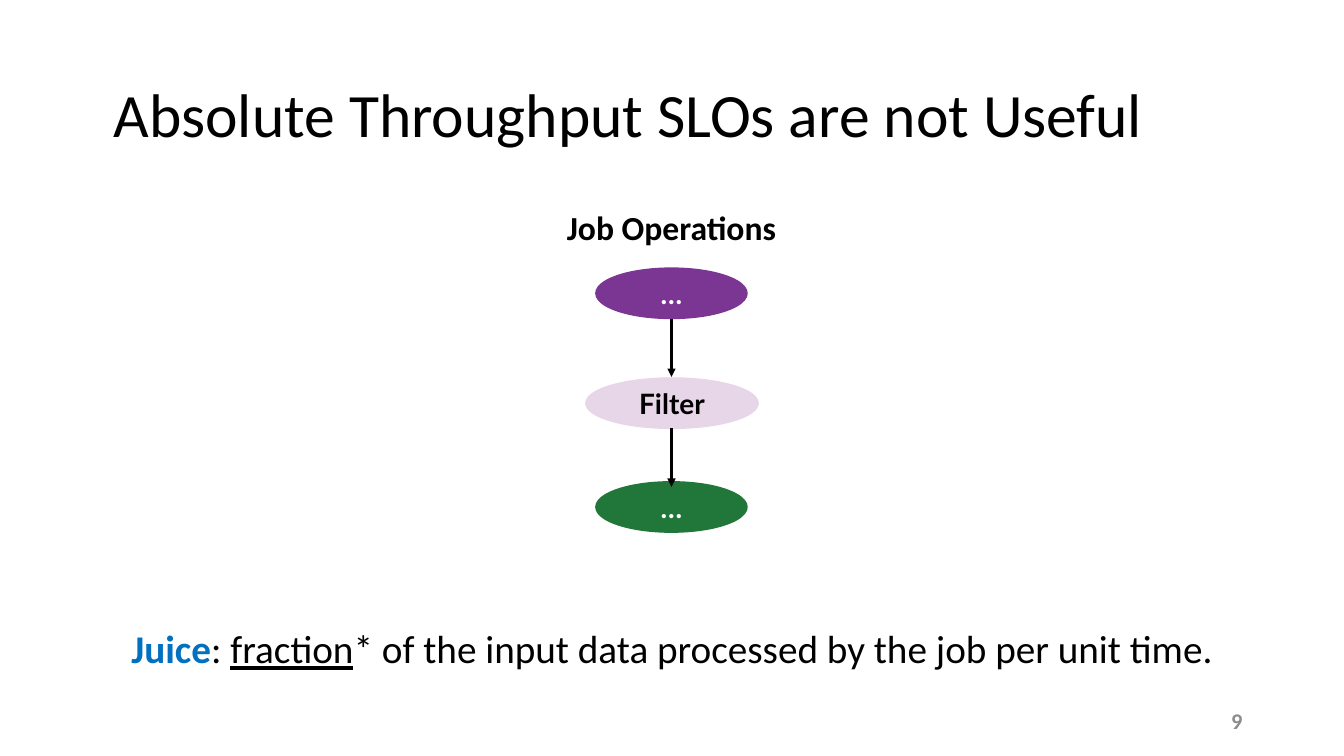
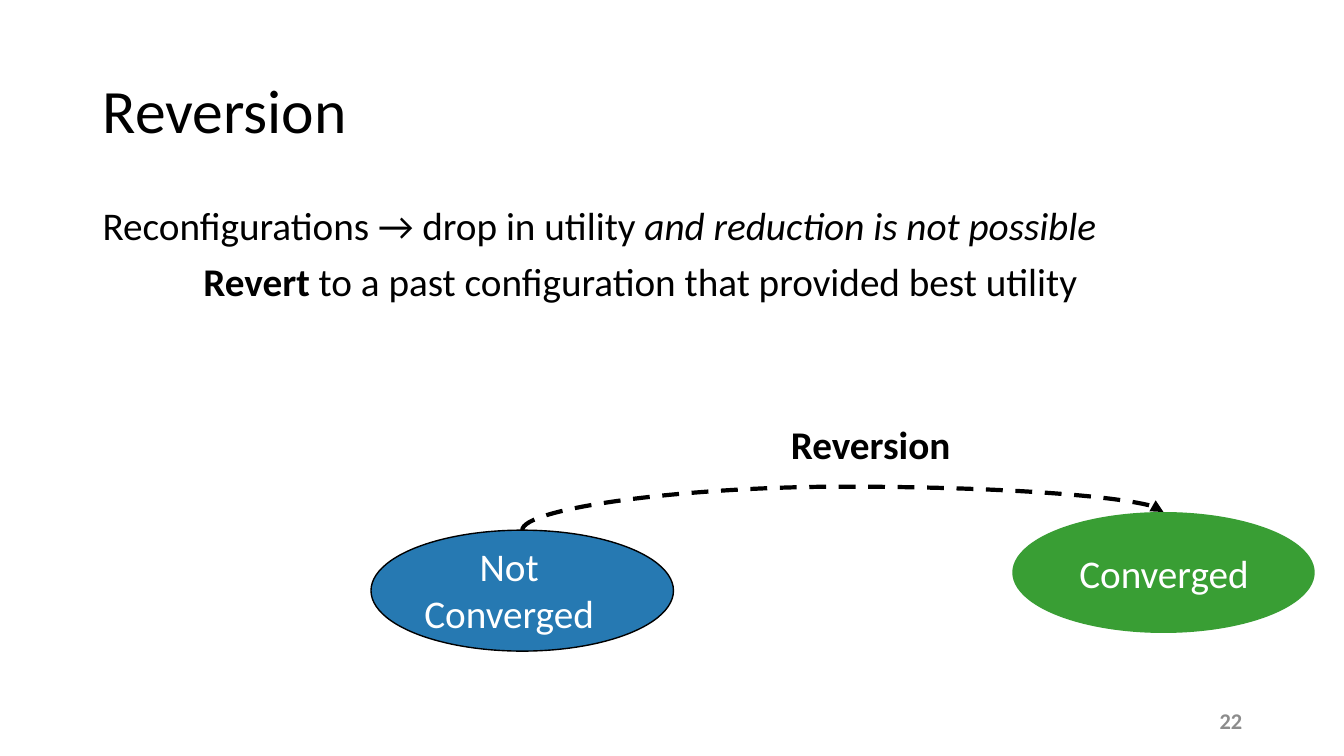
from dataclasses import dataclass

from lxml.etree import SubElement
from pptx import Presentation
from pptx.dml.color import RGBColor
from pptx.enum.dml import MSO_LINE
from pptx.enum.shapes import MSO_CONNECTOR as Connector, MSO_SHAPE as Shape
from pptx.enum.text import MSO_ANCHOR as Anchor, PP_ALIGN as Align
from pptx.oxml.ns import qn
from pptx.util import Emu, Pt

PX = 9144  # 100 px to the inch


@dataclass(frozen=True)
class Theme:
    font: str = "Calibri"
    node_font: str = "Lato"
    title_size: int = 44
    body_size: int = 28
    label_size: int = 24
    node_size: int = 20
    number_size: int = 16
    black: str = "000000"
    white: str = "FFFFFF"
    gray: str = "8C8C8C"
    accent: str = "0070C0"
    source: str = "7A3692"
    operator: str = "E7D5E8"
    sink: str = "21773A"
    not_converged: str = "2679B2"
    converged: str = "399E34"


THEME = Theme()


def px(value):
    return Emu(value * PX)


def rgb(color):
    return RGBColor.from_string(color)


def style_font(font, size, color, bold=False, name=THEME.font):
    font.name = name
    font.size = Pt(size)
    font.bold = bold
    font.color.rgb = rgb(color)


def add_text(page, bounds, lines, size=THEME.body_size, color=THEME.black,
             bold=False, align=Align.CENTER, anchor=Anchor.TOP):
    """Add a text box; each line is a list of (text, font attributes) spans."""
    frame = page.shapes.add_textbox(*map(px, bounds)).text_frame
    frame.word_wrap = True
    frame.vertical_anchor = anchor
    for index, spans in enumerate(lines):
        para = frame.paragraphs[0] if index == 0 else frame.add_paragraph()
        para.alignment = align
        style_font(para.font, size, color, bold)
        for text, attributes in spans:
            span = para.add_run()
            span.text = text
            for name, value in attributes.items():
                if name == "color":
                    span.font.color.rgb = rgb(value)
                else:
                    setattr(span.font, name, value)
    return frame


def add_label(page, bounds, *lines, **style):
    return add_text(page, bounds, [[(line, {})] for line in lines], **style)


def add_page(deck, title, title_left, title_top, number):
    """Add a blank page with the shared title and page number."""
    page = deck.slides.add_slide(deck.slide_layouts[6])
    frame = add_label(page, (title_left, title_top, 1150, 145), title,
                      size=THEME.title_size, align=Align.LEFT, anchor=Anchor.MIDDLE)
    frame.paragraphs[0].line_spacing = 0.9
    add_label(page, (942, 695, 300, 40), str(number), size=THEME.number_size,
              color=THEME.gray, bold=True, align=Align.RIGHT, anchor=Anchor.MIDDLE)
    return page


def add_ellipse(page, bounds, fill, outline=None):
    ellipse = page.shapes.add_shape(Shape.OVAL, *map(px, bounds))
    ellipse.shadow.inherit = False
    ellipse.fill.solid()
    ellipse.fill.fore_color.rgb = rgb(fill)
    if outline:
        ellipse.line.color.rgb = rgb(outline)
        ellipse.line.width = Pt(1)
    else:
        ellipse.line.fill.background()
    return ellipse


def add_node(page, bounds, text, fill, color):
    node = add_ellipse(page, bounds, fill, fill)
    node.text_frame.vertical_anchor = Anchor.MIDDLE
    para = node.text_frame.paragraphs[0]
    para.text = text
    para.alignment = Align.CENTER
    style_font(para.font, THEME.node_size, color, True, THEME.node_font)


def add_arrow(page, kind, start, end, width):
    arrow = page.shapes.add_connector(kind, *map(px, start + end))
    arrow.line.color.rgb = rgb(THEME.black)
    arrow.line.width = Pt(width)
    SubElement(arrow.line._get_or_add_ln(), qn("a:tailEnd"), type="triangle")
    SubElement(arrow._element.spPr, qn("a:effectLst"))
    return arrow


def add_arc(page, start, end, bulge):
    """Arch a dashed arrow from start over to end, bulge times their height gap."""
    (x1, y1), (x2, y2) = start, end
    mid_x, mid_y = (x1 + x2) // 2, (y1 + y2) // 2
    half_run, half_rise = (x2 - x1) // 2, (y1 - y2) // 2
    # The connector is laid out upright, then turned a quarter about its centre.
    arc = add_arrow(page, Connector.CURVE, (mid_x + half_rise, mid_y + half_run),
                    (mid_x - half_rise, mid_y - half_run), 3)
    arc.line.dash_style = MSO_LINE.DASH
    properties = arc._element.spPr
    properties.find(qn("a:xfrm")).set("rot", str(90 * 60000))
    adjustments = properties.find(qn("a:prstGeom")).find(qn("a:avLst"))
    SubElement(adjustments, qn("a:gd"), name="adj1", fmla=f"val {round(bulge * 100000)}")


def build_throughput(deck):
    page = add_page(deck, "Absolute Throughput SLOs are not Useful", 103, 44, 9)
    center, height, arrow_length = 666, 50, 58
    add_label(page, (center - 170, 200, 340, 50), "Job Operations",
              size=THEME.label_size, bold=True)
    nodes = [
        ("…", 266, 150, THEME.source, THEME.white),
        ("Filter", 375, 171, THEME.operator, THEME.black),
        ("…", 478, 150, THEME.sink, THEME.white),
    ]
    for text, top, width, fill, color in nodes:
        add_node(page, (center - width // 2, top, width, height), text, fill, color)
    for _, top, *_ in nodes[:-1]:
        bottom = top + height
        add_arrow(page, Connector.STRAIGHT, (center, bottom),
                  (center, bottom + arrow_length), 2)
    add_text(page, (80, 580, 1173, 126), [[
        ("Juice", {"bold": True, "color": THEME.accent}),
        (": ", {}),
        ("fraction", {"underline": True}),
        ("* of the input data processed by the job per unit time.", {}),
    ]], anchor=Anchor.MIDDLE)


def build_reversion(deck):
    page = add_page(deck, "Reversion", 92, 40, 22)
    body = add_text(page, (92, 200, 1150, 476), [
        [("Reconfigurations → drop in utility ", {}),
         ("and reduction is not possible", {"italic": True})],
        [("Revert ", {"bold": True}),
         ("to a past configuration that provided best utility", {})],
    ], align=Align.LEFT)
    for para in body.paragraphs:
        para.line_spacing = 0.9
        para.space_before = Pt(10)
    body.paragraphs[1]._p.get_or_add_pPr().set("marL", str(px(100)))

    add_ellipse(page, (1004, 508, 300, 120), THEME.converged)
    add_ellipse(page, (368, 526, 300, 120), THEME.not_converged, THEME.black)
    add_label(page, (1050, 540, 209, 57), "Converged", color=THEME.white)
    add_label(page, (316, 533, 378, 104), "Not", "Converged", color=THEME.white)
    add_arc(page, (518, 526), (1154, 508), 2.4)
    add_label(page, (611, 412, 505, 57), "Reversion", bold=True)


def main():
    deck = Presentation()
    deck.slide_width, deck.slide_height = px(1333), px(750)
    build_throughput(deck)
    build_reversion(deck)
    deck.save("out.pptx")


if __name__ == "__main__":
    main()
